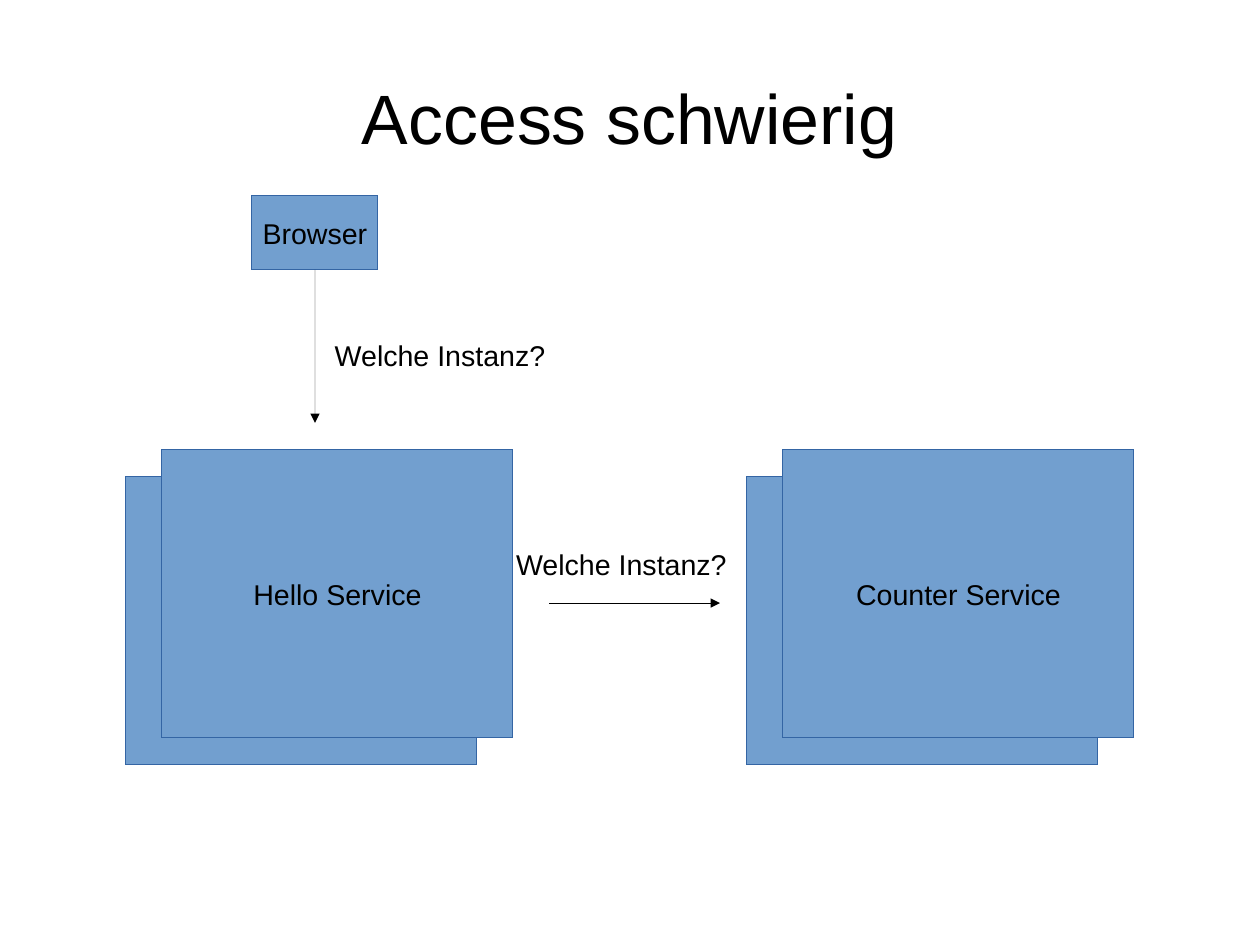
from dataclasses import dataclass

from lxml.etree import SubElement
from pptx import Presentation
from pptx.dml.color import RGBColor
from pptx.enum.shapes import MSO_CONNECTOR, MSO_SHAPE
from pptx.enum.text import MSO_ANCHOR, PP_ALIGN
from pptx.oxml.ns import qn
from pptx.util import Cm, Pt


@dataclass(frozen=True)
class Theme:
    """Colours, font, type sizes and line width of the slide."""
    ink: RGBColor = RGBColor(0x00, 0x00, 0x00)
    fill: RGBColor = RGBColor(0x72, 0x9F, 0xCF)
    edge: RGBColor = RGBColor(0x34, 0x65, 0xA4)
    face: str = "Arial"
    title: Pt = Pt(44)
    body: Pt = Pt(18)
    hair: Pt = Pt(0.01)


THEME = Theme()
INSET = {"margin_left": Cm(0.25), "margin_right": Cm(0.25),
         "margin_top": Cm(0.13), "margin_bottom": Cm(0.13)}
BOX = {**INSET, "word_wrap": False, "vertical_anchor": MSO_ANCHOR.MIDDLE}
LABEL = {**INSET, "word_wrap": False, "vertical_anchor": MSO_ANCHOR.TOP}
TITLE = {**dict.fromkeys(INSET, 0), "word_wrap": True,
         "vertical_anchor": MSO_ANCHOR.MIDDLE}


def apply(item, values):
    """Set each attribute of the item from a dict."""
    for name, value in values.items():
        setattr(item, name, value)


def write(shape, text, frame, size):
    """Put one centred line of text into a shape."""
    apply(shape.text_frame, frame)
    para = shape.text_frame.paragraphs[0]
    para.alignment = PP_ALIGN.CENTER
    run = para.add_run()
    run.text = text
    apply(run.font, {"name": THEME.face, "size": size})
    run.font.color.rgb = THEME.ink


def add_title(slide, text, left, top, width, height):
    """Place and fill the title placeholder."""
    title = slide.shapes.title
    apply(title, {"left": Cm(left), "top": Cm(top),
                  "width": Cm(width), "height": Cm(height)})
    write(title, text, TITLE, THEME.title)


def add_box(slide, left, top, width, height, text=""):
    """Draw a blue box, with a caption if one is given."""
    box = slide.shapes.add_shape(MSO_SHAPE.RECTANGLE, Cm(left), Cm(top),
                                 Cm(width), Cm(height))
    box.shadow.inherit = False
    box.fill.solid()
    box.fill.fore_color.rgb = THEME.fill
    box.line.color.rgb = THEME.edge
    box.line.width = THEME.hair
    if text:
        write(box, text, BOX, THEME.body)
    return box


def add_stack(slide, text, left, top, width, height):
    """Draw a service as two shifted boxes, the front one named."""
    dx, dy = 0.8, 0.6
    size = width - dx, height - dy
    add_box(slide, left, top + dy, *size)
    add_box(slide, left + dx, top, *size, text)


def add_arrow(slide, x1, y1, x2, y2):
    """Draw a hairline arrow."""
    arrow = slide.shapes.add_connector(MSO_CONNECTOR.STRAIGHT, Cm(x1), Cm(y1),
                                       Cm(x2), Cm(y2))
    arrow.line.color.rgb = THEME.ink
    arrow.line.width = THEME.hair
    SubElement(arrow.line._get_or_add_ln(), qn("a:tailEnd"), type="triangle")
    SubElement(arrow._element.spPr, qn("a:effectLst"))
    return arrow


def add_label(slide, text, left, top):
    """Place a caption beside an arrow."""
    label = slide.shapes.add_textbox(Cm(left), Cm(top), Cm(5.4), Cm(0.96))
    write(label, text, LABEL, THEME.body)


def add_access(slide, left, top):
    """Draw the browser, both services and the calls between them."""
    for text, shift in (("Hello Service", 0), ("Counter Service", 13.8)):
        add_stack(slide, text, left + shift, top + 5.65, 8.6, 7)
    browser = add_box(slide, left + 2.8, top, 2.8, 1.65, "Browser")
    down = add_arrow(slide, left + 4.2, top + 1.65, left + 4.2, top + 5.05)
    down.begin_connect(browser, 2)
    add_arrow(slide, left + 9.4, top + 9.05, left + 13.2, top + 9.05)
    for dx, dy in ((4.28, 3.04), (8.31, 7.67)):
        add_label(slide, "Welche Instanz?", left + dx, top + dy)


def main():
    """Build and save the slide."""
    deck = Presentation()
    apply(deck, {"slide_width": Cm(28), "slide_height": Cm(21)})
    slide = deck.slides.add_slide(deck.slide_layouts[5])
    add_title(slide, "Access schwierig", 1.4, 0.84, 25.2, 3.5)
    add_access(slide, 2.8, 4.35)
    deck.save("out.pptx")


if __name__ == "__main__":
    main()
